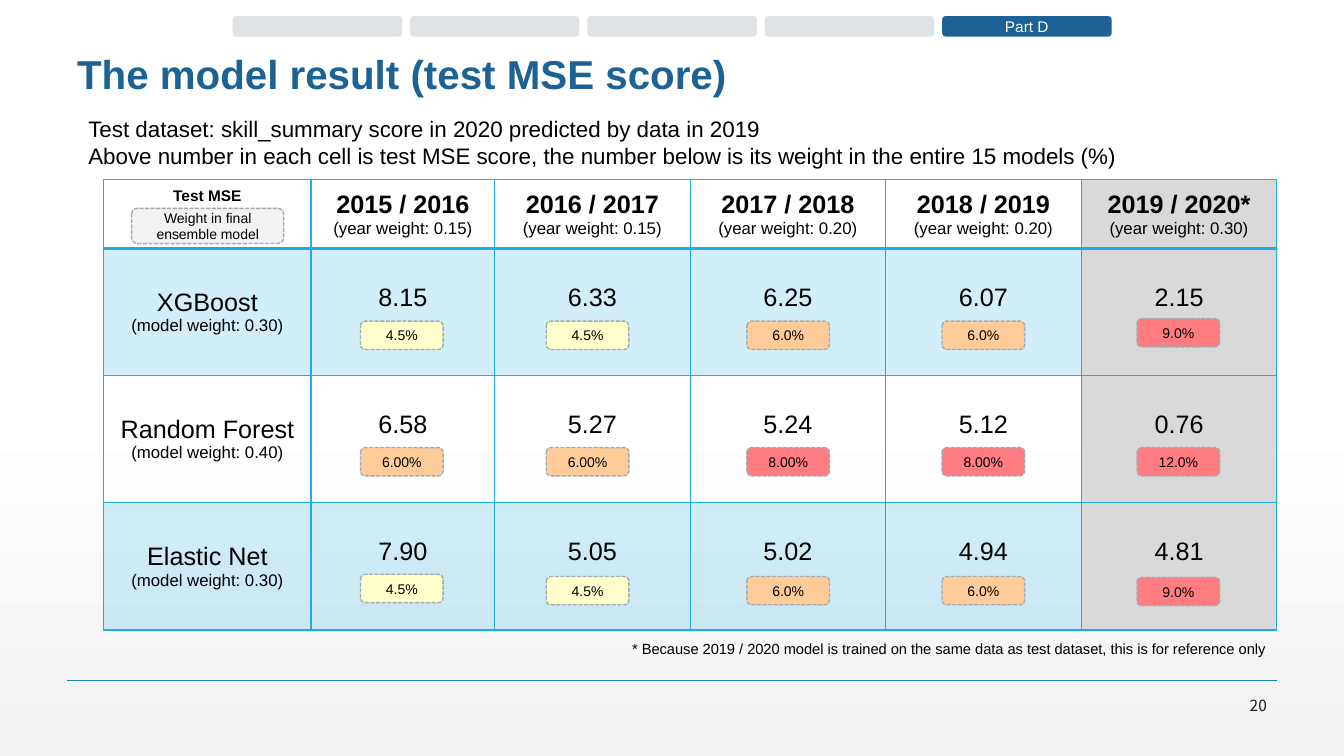
from lxml.etree import SubElement
from pptx import Presentation
from pptx.dml.color import RGBColor
from pptx.enum.dml import MSO_LINE
from pptx.enum.shapes import MSO_CONNECTOR, MSO_SHAPE
from pptx.enum.text import MSO_ANCHOR, PP_ALIGN
from pptx.oxml import parse_xml
from pptx.oxml.ns import nsdecls, qn
from pptx.util import Pt

COLORS = {
    "navy": "1D6294", "cyan": "1CADE4", "rule": "1482AC", "tab": "DFE3E5",
    "dash": "A1ACB2", "black": "000000", "number": "1A1A1A", "white": "FFFFFF",
    "pale": "F2F2F2", "reference": "D9D9D9",
    "low": "FFFFCC", "medium": "FFCC99", "high": "FF7C80",
}
# Only the current section's tab is labelled
SECTION_TABS = [None, None, None, None, "Part D"]
YEARS = [("2015 / 2016", "0.15"), ("2016 / 2017", "0.15"), ("2017 / 2018", "0.20"),
         ("2018 / 2019", "0.20"), ("2019 / 2020*", "0.30")]
# Model, model weight, test MSE by year, weight in the ensemble by year
MODELS = [
    ("XGBoost", "0.30", ["8.15", "6.33", "6.25", "6.07", "2.15"],
     ["4.5%", "4.5%", "6.0%", "6.0%", "9.0%"]),
    ("Random Forest", "0.40", ["6.58", "5.27", "5.24", "5.12", "0.76"],
     ["6.00%", "6.00%", "8.00%", "8.00%", "12.0%"]),
    ("Elastic Net", "0.30", ["7.90", "5.05", "5.02", "4.94", "4.81"],
     ["4.5%", "4.5%", "6.0%", "6.0%", "9.0%"]),
]
COLUMN_WIDTHS = [148.3, 131] + [139.7] * 4
ROW_HEIGHTS = [49] + [90.8] * 3
WEIGHT_LEFTS = [257.5, 390.2, 533.5, 672.9, 812.2]
WEIGHT_TOPS = [229.4, 319.7, 411.8]
WEIGHT_SHIFTS = {(0, 4): -1.9, (2, 0): -1.6, (2, 4): 0.6}


def rgb(name):
    return RGBColor.from_string(COLORS[name])


def write(frame, text, size=18, color="black", bold=False, align=PP_ALIGN.CENTER,
          font="Arial", spacing=None):
    """Fill the frame's empty first paragraph, or add one below."""
    paragraph = frame.paragraphs[0]
    if paragraph.runs:
        paragraph = frame.add_paragraph()
    paragraph.alignment = align
    paragraph.line_spacing = spacing
    run = paragraph.add_run()
    run.text = text
    run.font.name, run.font.size, run.font.bold = font, Pt(size), bold
    run.font.color.rgb = rgb(color)


def weight_color(weight):
    percent = float(weight.rstrip("%"))
    if percent < 5:
        return "low"
    return "medium" if percent < 8 else "high"


class ResultSlide:
    def __init__(self, presentation):
        self.slide = presentation.slides.add_slide(presentation.slide_layouts[6])
        self.shapes = self.slide.shapes

    def background(self):
        fill = self.slide.background.fill
        fill.gradient()
        fill.gradient_angle = 270
        for stop, position, color in zip(fill.gradient_stops, (0.53, 1), ("white", "pale")):
            stop.position = position
            stop.color.rgb = rgb(color)

    def rule(self, x1, y1, x2, y2):
        line = self.shapes.add_connector(
            MSO_CONNECTOR.STRAIGHT, Pt(x1), Pt(y1), Pt(x2), Pt(y2))
        line.line.color.rgb, line.line.width = rgb("rule"), Pt(1)
        SubElement(line._element.spPr, qn("a:effectLst"))

    def text(self, box, lines, anchor=MSO_ANCHOR.TOP, **style):
        frame = self.shapes.add_textbox(*map(Pt, box)).text_frame
        frame.word_wrap, frame.vertical_anchor = True, anchor
        for line in lines:
            write(frame, line, **style)

    def label(self, box, text, fill, dashed=False, **style):
        shape = self.shapes.add_shape(MSO_SHAPE.ROUNDED_RECTANGLE, *map(Pt, box))
        shape.shadow.inherit = False
        shape.fill.solid()
        shape.fill.fore_color.rgb = rgb(fill)
        if dashed:
            shape.line.color.rgb, shape.line.width = rgb("dash"), Pt(1)
            shape.line.dash_style = MSO_LINE.SQUARE_DOT
        else:
            shape.line.fill.background()
        if text:
            frame = shape.text_frame
            frame.word_wrap, frame.vertical_anchor = True, MSO_ANCHOR.MIDDLE
            frame.margin_top = frame.margin_bottom = 0
            write(frame, text, **style)

    def table(self, left, top, widths, heights):
        table = self.shapes.add_table(
            len(heights), len(widths), Pt(left), Pt(top),
            Pt(sum(widths)), Pt(sum(heights))).table
        table.first_row = table.horz_banding = False
        for column, width in zip(table.columns, widths):
            column.width = Pt(width)
        for row, height in zip(table.rows, heights):
            row.height = Pt(height)
        return table

    def cell(self, cell, lines, fill=None, opacity=100, space_below=0, borders=(1, 1, 1, 1)):
        cell.vertical_anchor = MSO_ANCHOR.MIDDLE
        cell.margin_bottom = Pt(3.6 + space_below)
        for text, style in lines:
            write(cell.text_frame, text, **style)
        properties = cell._tc.get_or_add_tcPr()
        if fill:
            cell.fill.solid()
            cell.fill.fore_color.rgb = rgb(fill)
            if opacity < 100:
                color = properties.find(".//" + qn("a:srgbClr"))
                SubElement(color, qn("a:alpha"), val=str(opacity * 1000))
        else:
            cell.fill.background()
        for index, (side, width) in enumerate(zip("LRTB", borders)):
            properties.insert(index, parse_xml(
                f'<a:ln{side} {nsdecls("a")} w="{Pt(width)}"><a:solidFill>'
                f'<a:srgbClr val="{COLORS["cyan"]}"/></a:solidFill></a:ln{side}>'))


def main():
    presentation = Presentation()
    presentation.slide_width, presentation.slide_height = Pt(960), Pt(540)
    result = ResultSlide(presentation)
    result.background()

    # Footer
    result.rule(48, 486, 912, 486)
    result.text((840, 495.4, 72, 17.3), ["20"], MSO_ANCHOR.MIDDLE, size=11,
                color="number", align=PP_ALIGN.RIGHT, font="Noto Sans CJK JP")

    # Title and section tabs
    result.text((48, 34.6, 864, 40.3), ["The model result (test MSE score)"],
                MSO_ANCHOR.MIDDLE, size=28.8, color="navy", bold=True,
                align=PP_ALIGN.LEFT, spacing=0.9)
    for index, section in enumerate(SECTION_TABS):
        result.label((166.2 + 126.7 * index, 11.5, 121, 14.6), section,
                     "navy" if section else "tab", size=11, color="white")

    # Result table
    table = result.table(74, 128.4, COLUMN_WIDTHS, ROW_HEIGHTS)
    small = {"size": 12}
    result.cell(table.cell(0, 0), [("Test MSE", {"size": 11, "bold": True})],
                space_below=25, borders=(1, 2, 1, 2))
    for column, (years, weight) in enumerate(YEARS, 1):
        result.cell(table.cell(0, column),
                    [(years, {"bold": True}), (f"(year weight: {weight})", small)],
                    fill="reference" if column == 5 else None,
                    borders=(2 if column == 1 else 1, 1, 1, 2))
    for row, (model, weight, scores, _) in enumerate(MODELS, 1):
        band = "cyan" if row % 2 else None
        top, bottom = (2 if row == 1 else 1), (1.5 if row == 3 else 1)
        result.cell(table.cell(row, 0),
                    [(model, {}), (f"(model weight: {weight})", small)],
                    fill=band, opacity=20, borders=(1, 2, top, bottom))
        for column, score in enumerate(scores, 1):
            reference = column == 5
            result.cell(table.cell(row, column), [(score, {})],
                        fill="reference" if reference else band,
                        opacity=100 if reference else 20, space_below=20,
                        borders=(2 if column == 1 else 1, 1, top, bottom))

    # Explanation and footnote
    result.text((56, 78.5, 801.4, 46), [
        "Test dataset: skill_summary score in 2020 predicted by data in 2019",
        "Above number in each cell is test MSE score, the number below is its weight "
        "in the entire 15 models (%)"], size=16, align=PP_ALIGN.LEFT)
    result.text((59.8, 453.6, 852, 20.9), [
        "* Because 2019 / 2020 model is trained on the same data as test dataset, "
        "this is for reference only"], size=10.5, align=PP_ALIGN.RIGHT)

    # Ensemble weights
    for row, (_, _, _, weights) in enumerate(MODELS):
        for column, weight in enumerate(weights):
            top = WEIGHT_TOPS[row] + WEIGHT_SHIFTS.get((row, column), 0)
            result.label((WEIGHT_LEFTS[column], top, 59, 20.2), weight,
                         weight_color(weight), dashed=True, size=10)
    result.label((94, 148.8, 108.7, 25.2), "Weight in final ensemble model", "pale",
                 dashed=True, size=10)

    presentation.save("out.pptx")


if __name__ == "__main__":
    main()
